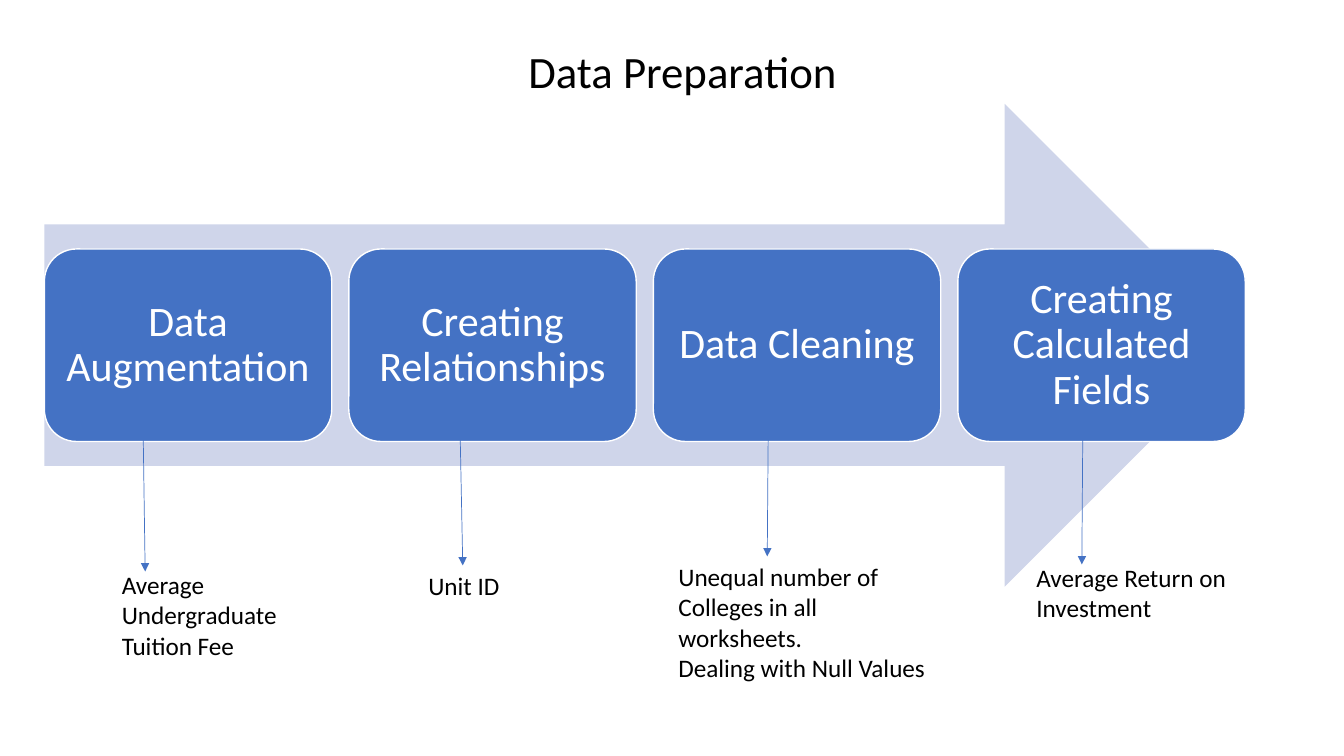
from pptx import Presentation
from pptx.util import Inches as In, Pt
from pptx.dml.color import RGBColor as Rgb
from pptx.enum.shapes import MSO_SHAPE as Shape, MSO_CONNECTOR as Link
from pptx.enum.text import PP_ALIGN as Align, MSO_ANCHOR as Anchor
from pptx.oxml.ns import qn
from lxml.etree import SubElement as Sub

TITLE = "Data Preparation"
STEPS = [
    dict(name="Data Augmentation", notes=["Average Undergraduate Tuition Fee"],
         box=(1.11, 5.6, 1.89, 1.01), line=(1.42, 4.27, 1.44, 5.67)),
    dict(name="Creating Relationships", notes=["Unit ID"],
         box=(4.15, 5.61, 3, 0.4), line=(4.56, 4.11, 4.59, 5.61)),
    dict(name="Data Cleaning",
         notes=["Unequal number of Colleges in all worksheets.",
                "Dealing with Null Values"],
         box=(6.63, 5.52, 2.84, 1.31), line=(7.62, 4.23, 7.61, 5.52)),
    dict(name="Creating Calculated Fields", notes=["Average Return on Investment"],
         box=(10.18, 5.53, 3, 0.71), line=(10.74, 4.22, 10.73, 5.6)),
]
THEME = dict(font="Calibri", ink="000000", paper="FFFFFF", blue="4472C4",
             pale="CFD5EA", title=32, step=30, note=18, edge=1, thin=0.5)
WIDE, HIGH = 13.33, 7.5
ARROW = (0.44, 1.03, 11.92, 4.79)
CARD, STRIDE = (2.85, 1.91), 3.02
HEAD = (0.92, 0.38, 11.5, 0.7)
INDENT = 4.32


def color(key):
    return Rgb.from_string(THEME[key])


def apply(item, form):
    for key, value in form.items():
        setattr(item, key, value)


def write(frame, lines, size, ink="ink", para={}, **form):
    apply(frame, dict(word_wrap=True, **form))
    frame.text = "\n".join(lines)
    for part in frame.paragraphs:
        apply(part, para)
        apply(part.font, dict(name=THEME["font"], size=Pt(THEME[size])))
        part.font.color.rgb = color(ink)


def draw(kind, place, fill, edge=None):
    item = slide.shapes.add_shape(kind, *map(In, place))
    item.shadow.inherit = False
    item.fill.solid()
    item.fill.fore_color.rgb = color(fill)
    if edge:
        item.line.color.rgb = color(edge)
        item.line.width = Pt(THEME["edge"])
    else:
        item.line.fill.background()
    return item


def point(ends):
    wire = slide.shapes.add_connector(Link.STRAIGHT, *map(In, ends))
    wire.line.color.rgb = color("blue")
    wire.line.width = Pt(THEME["thin"])
    Sub(wire.line._get_or_add_ln(), qn("a:tailEnd"), type="triangle")
    Sub(wire._element.spPr, qn("a:effectLst"))


deck = Presentation()
apply(deck, dict(slide_width=In(WIDE), slide_height=In(HIGH)))
slide = deck.slides.add_slide(deck.slide_layouts[5])

title = slide.shapes.title
apply(title, dict(zip(("left", "top", "width", "height"), map(In, HEAD))))
write(title.text_frame, [TITLE], "title",
      para=dict(alignment=Align.LEFT, line_spacing=0.9),
      vertical_anchor=Anchor.MIDDLE, margin_left=In(INDENT))

draw(Shape.RIGHT_ARROW, ARROW, "pale")
left, top, _, tall = ARROW
middle = top + (tall - CARD[1]) / 2
pad = {f"margin_{side}": In(0.1) for side in ("left", "right", "top", "bottom")}
for col, step in enumerate(STEPS):
    card = draw(Shape.ROUNDED_RECTANGLE, (left + col * STRIDE, middle, *CARD),
                "blue", "paper")
    write(card.text_frame, [step["name"]], "step", "paper",
          para=dict(alignment=Align.CENTER, line_spacing=0.9),
          vertical_anchor=Anchor.MIDDLE, **pad)

for step in STEPS:
    note = slide.shapes.add_textbox(*map(In, step["box"]))
    write(note.text_frame, step["notes"], "note")
    point(step["line"])

deck.save("out.pptx")
